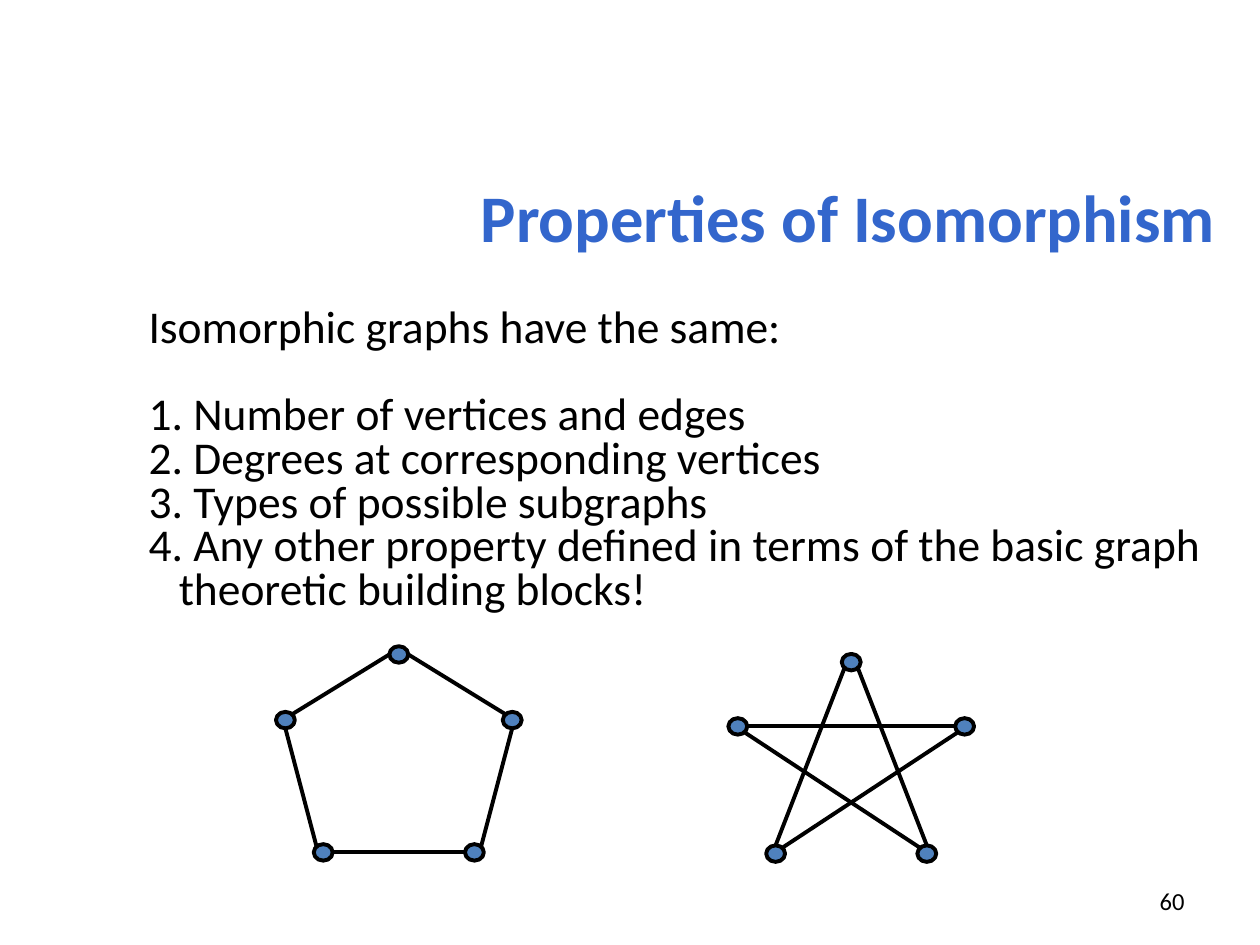
"""Build a slide on properties of graph isomorphism with two isomorphic graphs."""
from math import cos, pi, sin

from lxml.etree import SubElement
from pptx import Presentation
from pptx.dml.color import RGBColor
from pptx.enum.shapes import MSO_CONNECTOR as Connector, MSO_SHAPE as Shape
from pptx.enum.text import MSO_ANCHOR as Anchor, PP_ALIGN as Align
from pptx.oxml.ns import qn
from pptx.util import Pt

COLORS = {"title": "3366CC", "ink": "000000", "node": "4F81BD"}
FONT = "Calibri"
TITLE = "Properties of Isomorphism"
INTRO = "Isomorphic graphs have the same:"
PROPERTIES = [
    "Number of vertices and edges",
    "Degrees at corresponding vertices",
    "Types of possible subgraphs",
    "Any other property defined in terms of the basic graph theoretic building blocks!",
]
PAGE_NUMBER = "60"

NODE_WIDTH, NODE_HEIGHT = 10.8, 9.4
LINE_WIDTH = 2.25
NUMBER_INDENT = 17.3
VERTEX_OFFSETS = {
    "top": (0, 0), "left": (-64.8, 1), "right": (64.8, 1),
    "lower left": (-43.2, 2), "lower right": (43.2, 2),
}
SIDES = {name: step * pi / 4 for step, name in enumerate(["E", "SE", "S", "SW", "W", "NW", "N", "NE"])}
GRAPHS = [
    {
        "center": 227.9, "rows": (374, 411.5, 487.1),
        "edges": [
            ("left", "S", "lower left", "NW"),
            ("lower left", "E", "lower right", "W"),
            ("right", "S", "lower right", "NE"),
            ("top", "W", "left", "NE"),
            ("top", "E", "right", "NW"),
        ],
    },
    {
        "center": 486.4, "rows": (378.4, 415.1, 487.8),
        "edges": [
            ("left", "E", "right", "W"),
            ("lower left", "NE", "right", "SW"),
            ("lower right", "NW", "left", "SE"),
            ("top", "SW", "lower left", "N"),
            ("top", "SE", "lower right", "N"),
        ],
    },
]


def color(name):
    return RGBColor.from_string(COLORS[name])


def place(shape, left, top, width, height):
    shape.left, shape.top, shape.width, shape.height = Pt(left), Pt(top), Pt(width), Pt(height)


def style(paragraph, size, color_name="ink", bold=False):
    paragraph.font.name = FONT
    paragraph.font.size = Pt(size)
    paragraph.font.bold = bold
    paragraph.font.color.rgb = color(color_name)


def write_line(shape, text, size, color_name="ink", bold=False):
    frame = shape.text_frame
    frame.word_wrap = True
    frame.vertical_anchor = Anchor.MIDDLE
    paragraph = frame.paragraphs[0]
    paragraph.text = text
    paragraph.alignment = Align.RIGHT
    style(paragraph, size, color_name, bold)


def number(paragraph):
    properties = paragraph._p.get_or_add_pPr()
    properties.set("marL", str(Pt(NUMBER_INDENT)))
    properties.set("indent", str(-Pt(NUMBER_INDENT)))
    SubElement(properties, qn("a:buFont"), typeface=FONT)
    SubElement(properties, qn("a:buAutoNum"), type="arabicPeriod")


def add_body(slide):
    frame = slide.shapes.add_textbox(Pt(77.8), Pt(172.8), Pt(648), Pt(277)).text_frame
    frame.word_wrap = True
    for index, text in enumerate([INTRO] + PROPERTIES):
        paragraph = frame.paragraphs[0] if index == 0 else frame.add_paragraph()
        paragraph.text = f" {text}" if index else text
        paragraph.line_spacing = 0.8
        paragraph.space_before = Pt(25 if index == 1 else 0)
        style(paragraph, 26)
        if index:
            number(paragraph)


def rim_point(center, side):
    angle = SIDES[side]
    return (Pt(center[0] + NODE_WIDTH / 2 * cos(angle)),
            Pt(center[1] + NODE_HEIGHT / 2 * sin(angle)))


def add_graph(slide, graph):
    group = slide.shapes.add_group_shape()
    vertices = {
        name: (graph["center"] + offset, graph["rows"][row])
        for name, (offset, row) in VERTEX_OFFSETS.items()
    }
    for x, y in vertices.values():
        node = group.shapes.add_shape(
            Shape.OVAL, Pt(x - NODE_WIDTH / 2), Pt(y - NODE_HEIGHT / 2), Pt(NODE_WIDTH), Pt(NODE_HEIGHT))
        node.shadow.inherit = False
        node.fill.solid()
        node.fill.fore_color.rgb = color("node")
        node.line.color.rgb = color("ink")
        node.line.width = Pt(LINE_WIDTH)
    for start, start_side, end, end_side in graph["edges"]:
        edge = group.shapes.add_connector(
            Connector.STRAIGHT, *rim_point(vertices[start], start_side), *rim_point(vertices[end], end_side))
        edge.line.color.rgb = color("ink")
        edge.line.width = Pt(LINE_WIDTH)
        SubElement(edge._element.spPr, qn("a:effectLst"))


def main():
    presentation = Presentation()
    presentation.slide_width, presentation.slide_height = Pt(720), Pt(540)
    slide = presentation.slides.add_slide(presentation.slide_layouts[5])
    title = slide.shapes.title
    place(title, 54, 78.5, 648, 90)
    write_line(title, TITLE, 38, "title", True)
    add_body(slide)
    for graph in GRAPHS:
        add_graph(slide, graph)
    page_number = slide.shapes.add_textbox(Pt(516), Pt(500.5), Pt(168), Pt(28.8))
    write_line(page_number, PAGE_NUMBER, 14)
    presentation.save("out.pptx")


if __name__ == "__main__":
    main()
